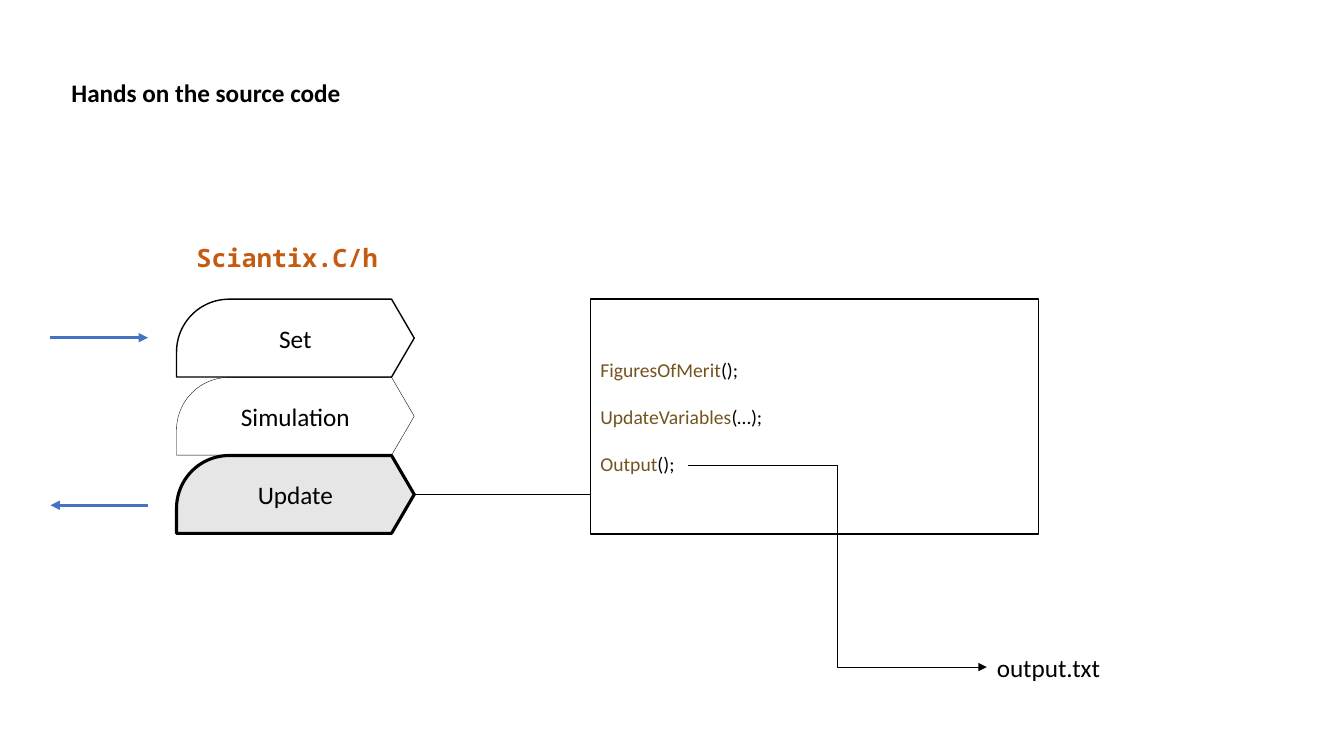
from lxml.etree import SubElement
from pptx import Presentation
from pptx.dml.color import RGBColor
from pptx.enum.shapes import MSO_CONNECTOR, MSO_SHAPE
from pptx.enum.text import MSO_ANCHOR, PP_ALIGN
from pptx.oxml.ns import qn
from pptx.util import Cm, Pt

COLORS = {
    "black": "000000",
    "blue": "4472C4",
    "orange": "C55A11",
    "brown": "74531F",
    "grey": "E7E6E6",
}


def rgb(name):
    return RGBColor.from_string(COLORS[name])


def add_run(p, text, size=18, font="Calibri", color="black", bold=False):
    r = p.add_run()
    r.text = text
    r.font.size = Pt(size)
    r.font.name = font
    r.font.bold = bold
    r.font.color.rgb = rgb(color)


def add_label(s, box, text, inset=True, **fmt):
    tf = s.shapes.add_textbox(*map(Cm, box)).text_frame
    tf.word_wrap = True
    tf.vertical_anchor = MSO_ANCHOR.MIDDLE
    if not inset:
        tf.margin_left = tf.margin_top = tf.margin_right = tf.margin_bottom = 0
    add_run(tf.paragraphs[0], text, **fmt)


def add_outlined(s, kind, box, weight, fill=None):
    sp = s.shapes.add_shape(kind, *map(Cm, box))
    sp.shadow.inherit = False
    if fill:
        sp.fill.solid()
        sp.fill.fore_color.rgb = rgb(fill)
    else:
        sp.fill.background()
    sp.line.color.rgb = rgb("black")
    sp.line.width = Pt(weight)
    sp.text_frame.word_wrap = True
    sp.text_frame.vertical_anchor = MSO_ANCHOR.MIDDLE
    return sp


def add_line(s, start, end, color="black", weight=0.5, arrow=True,
             kind=MSO_CONNECTOR.STRAIGHT):
    c = s.shapes.add_connector(kind, *map(Cm, start + end))
    c.line.color.rgb = rgb(color)
    c.line.width = Pt(weight)
    if arrow:
        SubElement(c.line._get_or_add_ln(), qn("a:tailEnd"), type="triangle")
    SubElement(c._element.spPr, qn("a:effectLst"))
    return c


def add_stages(s, left, top, width, height):
    pitch = 1.97
    stages = [(0, "Set", 1, None), (2, "Update", 2.25, "grey"),
              (1, "Simulation", 0.25, None)]
    shapes = {}
    for row, name, weight, fill in stages:
        box = (left, top + row * pitch, width, height)
        sp = add_outlined(s, MSO_SHAPE.BENT_ARROW, box, weight, fill)
        for i, value in enumerate((1, 0.5, 0.291, 0.677)):
            sp.adjustments[i] = value
        p = sp.text_frame.paragraphs[0]
        p.alignment = PP_ALIGN.CENTER
        add_run(p, name)
        shapes[name] = sp
    add_label(s, (left + 0.25, top - 1.57, 5.49, 1.02), "Sciantix.C/h",
              font="Noto Sans Mono", color="orange", bold=True)
    outer, inner = left - 3.18, left - 0.72
    y_in, y_out = top + 0.97, top + 5.19
    add_line(s, (outer, y_in), (inner, y_in), "blue", 2.25)
    add_line(s, (inner, y_out), (outer, y_out), "blue", 2.25)
    return shapes["Update"]


def add_calls(s, left, top, width, height):
    sp = add_outlined(s, MSO_SHAPE.RECTANGLE, (left, top, width, height), 1)
    tf = sp.text_frame
    calls = [("FiguresOfMerit", "();"), ("UpdateVariables", "(…);"),
             ("Output", "();")]
    for i, (name, args) in enumerate(calls):
        p = tf.paragraphs[0] if i == 0 else tf.add_paragraph()
        p.alignment = PP_ALIGN.LEFT
        if i:
            p.space_before = Pt(17)
        add_run(p, name, size=14, color="brown")
        add_run(p, args, size=14)


def add_output(s, left, top, width, height):
    middle = top + height / 2
    add_line(s, (left - 7.52, middle - 5.08), (left, middle),
             kind=MSO_CONNECTOR.ELBOW)
    add_label(s, (left, top, width, height), "output.txt")


def build_slide(prs):
    s = prs.slides.add_slide(prs.slide_layouts[6])
    add_label(s, (1.8, 1.83, 30.25, 1.02), "Hands on the source code",
              inset=False, bold=True)
    update = add_stages(s, 4.45, 7.54, 5.99, 1.96)
    add_calls(s, 14.88, 7.54, 11.3, 5.92)
    link = add_line(s, (10.44, 12.46), (14.88, 12.46), arrow=False)
    link.begin_connect(update, 3)
    add_output(s, 24.87, 16.3, 3.53, 1.02)


def main():
    prs = Presentation()
    prs.slide_width = Cm(33.87)
    prs.slide_height = Cm(19.05)
    build_slide(prs)
    prs.save("out.pptx")


if __name__ == "__main__":
    main()
